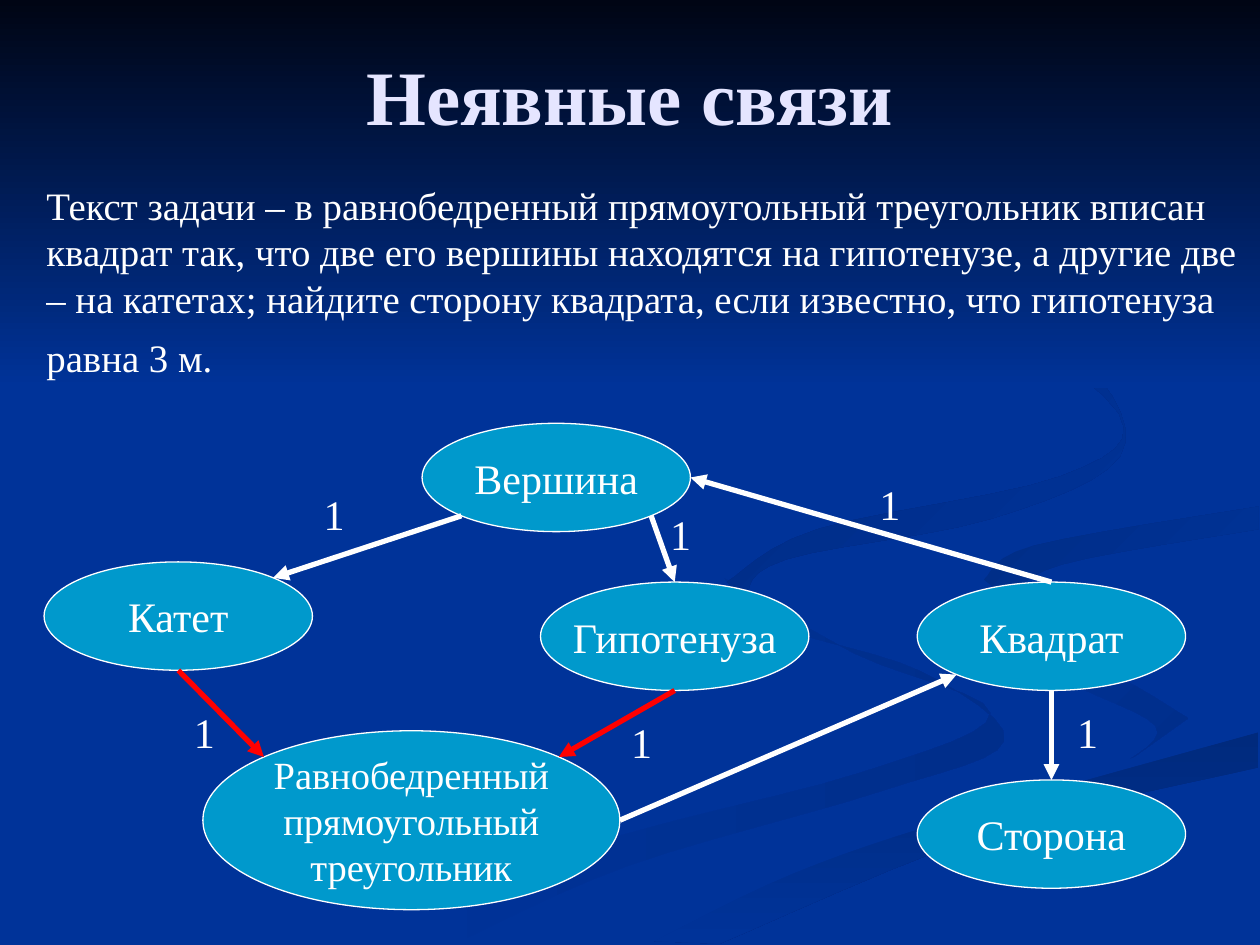
from dataclasses import dataclass
from math import cos, radians, sin

from lxml.etree import SubElement
from pptx import Presentation
from pptx.dml.color import RGBColor as Rgb
from pptx.enum.shapes import MSO_CONNECTOR as Link, MSO_SHAPE as Form
from pptx.enum.text import MSO_ANCHOR as Anchor, PP_ALIGN as Align
from pptx.oxml.ns import qn
from pptx.util import Inches, Pt


@dataclass(frozen=True)
class Theme:
    font: str = "Times New Roman"
    back: str = "003399"
    night: str = "000514"
    title: str = "E5E5FF"
    text: str = "FFFFFF"
    node: str = "0099CC"
    red: str = "FF0000"
    head: float = 44
    body: float = 22.2
    tail: float = 29.6
    label: float = 24
    small: float = 22
    thin: float = 0.75
    bold: float = 3


T = Theme()
TITLE = "Неявные связи"
TASK = ("Текст задачи – в равнобедренный прямоугольный треугольник вписан "
        "квадрат так, что две его вершины находятся на гипотенузе, а другие "
        "две – на катетах; найдите сторону квадрата, если известно, что "
        "гипотенуза равна 3 м.")

# Edges that neighbouring ribbons share
CREST = [(7.24, 4.64), (7.59, 4.98), (8.71, 5.3), (9.43, 5.7)]
BANK = [(5.19, 7.47), (6.3, 6.93), (7.65, 6.47), (9.99, 5.81)]
SHELF = [(7.81, 4.6), (8.21, 4.33), (9.99, 4.02)]

# Ribbons: start colour, end colour, angle, smooth edges
RIBBONS = [
    (T.back, "002E8B", 0, [
        [(5.75, 4.59), (6.14, 4.96), (7.31, 5.33), (7.97, 5.88), (6.99, 6.28),
         (4.99, 6.87), (3.61, 7.49)],
        [(3, 7.49), (4.58, 6.74), (6.84, 6.13), (7.86, 5.66), (6.79, 5.19),
         (5.75, 4.59)]]),
    (T.back, "002E8B", 315, [
        CREST, [(8.94, 6.05), (9.17, 5.76), (8.38, 5.36), (7.24, 4.64)]]),
    ("002A7D", T.back, 270, [
        BANK, [(9.99, 6.09), (7.85, 6.61), (5.71, 7.49)]]),
    (T.back, T.back, 0, [
        CREST + [(8.81, 6.08), (6.63, 6.68), (4.77, 7.49)], BANK,
        [(9.99, 5.38), (8.32, 4.98), (7.81, 4.6)], SHELF,
        [(9.99, 3.87), (7.88, 4.22), (7.24, 4.64)]]),
    ("002D86", T.back, 315, [
        SHELF, [(9.99, 4.2), (8.43, 4.48), (8.05, 4.76), (8.26, 4.96)]]),
    ("002B82", T.back, 315, [
        [(7.62, 2.33), (8.64, 2.91), (8.89, 3.62), (7.86, 4.12), (6.24, 4.44),
         (5.94, 4.75), (6.22, 5)],
        [(5.77, 4.62), (6.49, 4.2), (8.42, 3.78), (8.88, 3.28), (7.62, 2.33)]]),
    (T.night, T.back, 270, [[(0, 0), (0, 3.08)], [(10, 3.08), (10, 0)]]),
]

# Nodes: centre x, top
SIZE = (2.13, 0.86)
NODES = {
    "Вершина": (4.415, 3.36),
    "Катет": (1.415, 4.46),
    "Гипотенуза": (5.355, 4.62),
    "Квадрат": (8.345, 4.62),
    "Сторона": (8.345, 6.19),
}
TRI = "Равнобедренный\nпрямоугольный\nтреугольник"

# Ellipse sites run from the top to the left, 45 degrees apart
N, NW, W, SW, S, SE, E, NE = range(8)
LINKS = [
    ("Вершина", SW, "Катет", NE, T.text),
    ("Вершина", SE, "Гипотенуза", N, T.text),
    ("Катет", S, TRI, NW, T.red),
    ("Гипотенуза", S, TRI, NE, T.red),
    (TRI, E, "Квадрат", SW, T.text),
    ("Квадрат", S, "Сторона", N, T.text),
    ("Квадрат", N, "Вершина", E, T.text),
]
MARKS = [(2.47, 3.83), (1.44, 5.56), (4.91, 5.64),
         (5.22, 3.99), (6.88, 3.75), (8.45, 5.56)]


def color(code):
    return Rgb.from_string(code)


def write(frame, text, size, tint=T.text, align=Align.LEFT, bold=False):
    frame.text = text
    for para in frame.paragraphs:
        para.alignment = align
        font = para.font
        font.name, font.size, font.bold = T.font, Pt(size), bold
        font.color.rgb = color(tint)


def add_text(slide, box, text, size, wrap=True, anchor=Anchor.TOP, **style):
    frame = slide.shapes.add_textbox(*map(Inches, box)).text_frame
    frame.word_wrap = wrap
    frame.vertical_anchor = anchor
    write(frame, text, size, **style)
    return frame


def smooth(edge, steps=6):
    """Points of a Catmull-Rom curve through the edge."""
    if len(edge) < 3:
        return edge
    ends = [edge[0], *edge, edge[-1]]
    curve = [edge[0]]
    for knots in zip(ends, ends[1:], ends[2:], ends[3:]):
        for step in range(1, steps + 1):
            t = step / steps
            curve.append(tuple(
                b + t / 2 * (c - a + t * (2 * a - 5 * b + 4 * c - d
                                          + t * (3 * (b - c) + d - a)))
                for a, b, c, d in zip(*knots)))
    return curve


def add_ribbon(slide, first, last, angle, edges):
    points = [(Inches(x), Inches(y)) for edge in edges for x, y in smooth(edge)]
    pen = slide.shapes.build_freeform(*points[0])
    pen.add_line_segments(points[1:], close=True)
    shape = pen.convert_to_shape()
    shape.shadow.inherit = False
    shape.line.fill.background()
    if first == last:
        shape.fill.solid()
        shape.fill.fore_color.rgb = color(first)
        return
    shape.fill.gradient()
    shape.fill.gradient_angle = angle
    for stop, code in zip(shape.fill.gradient_stops, (first, last)):
        stop.color.rgb = color(code)


def add_node(slide, text, box, size):
    node = slide.shapes.add_shape(Form.OVAL, *map(Inches, box))
    node.shadow.inherit = False
    node.fill.solid()
    node.fill.fore_color.rgb = color(T.node)
    node.line.color.rgb = color(T.text)
    node.line.width = Pt(T.thin)
    frame = node.text_frame
    frame.word_wrap = False
    frame.vertical_anchor = Anchor.MIDDLE
    write(frame, text, size, align=Align.CENTER)
    return node


def site(node, spot):
    turn = radians(90 + 45 * spot)
    x = node.left + node.width / 2 * (1 + cos(turn))
    y = node.top + node.height / 2 * (1 - sin(turn))
    return round(x), round(y)


def add_link(slide, start, out, end, into, tint):
    link = slide.shapes.add_connector(
        Link.STRAIGHT, *site(start, out), *site(end, into))
    link.line.color.rgb = color(tint)
    link.line.width = Pt(T.bold)
    # Arrowhead, no shadow, glue to the ellipse sites
    SubElement(link._element.spPr.find(qn("a:ln")), qn("a:tailEnd"),
               type="triangle")
    SubElement(link._element.spPr, qn("a:effectLst"))
    glue = link._element.find(".//" + qn("p:cNvCxnSpPr"))
    for tag, node, spot in (("a:stCxn", start, out), ("a:endCxn", end, into)):
        SubElement(glue, qn(tag), id=str(node.shape_id), idx=str(spot))


def main():
    deck = Presentation()
    deck.slide_width, deck.slide_height = Inches(10), Inches(7.5)
    slide = deck.slides.add_slide(deck.slide_layouts[6])

    # Background
    slide.background.fill.solid()
    slide.background.fill.fore_color.rgb = color(T.back)
    for ribbon in RIBBONS:
        add_ribbon(slide, *ribbon)

    # Title and task
    add_text(slide, (0.5, 0.13, 9, 1.25), TITLE, T.head, anchor=Anchor.MIDDLE,
             tint=T.title, align=Align.CENTER, bold=True)
    task = add_text(slide, (0.27, 1.39, 9.73, 1.97), TASK, T.body)
    space = task.paragraphs[0].add_run()
    space.text = " "
    space.font.size = Pt(T.tail)

    # Graph
    wide, high = SIZE
    nodes = {name: add_node(slide, name, (x - wide / 2, y, wide, high), T.label)
             for name, (x, y) in NODES.items()}
    nodes[TRI] = add_node(slide, TRI, (1.61, 5.8, 3.31, 1.42), T.small)
    for start, out, end, into, tint in LINKS:
        add_link(slide, nodes[start], out, nodes[end], into, tint)
    for x, y in MARKS:
        add_text(slide, (x, y, 0.38, 0.5), "1", T.label, wrap=False)

    deck.save("out.pptx")


if __name__ == "__main__":
    main()
